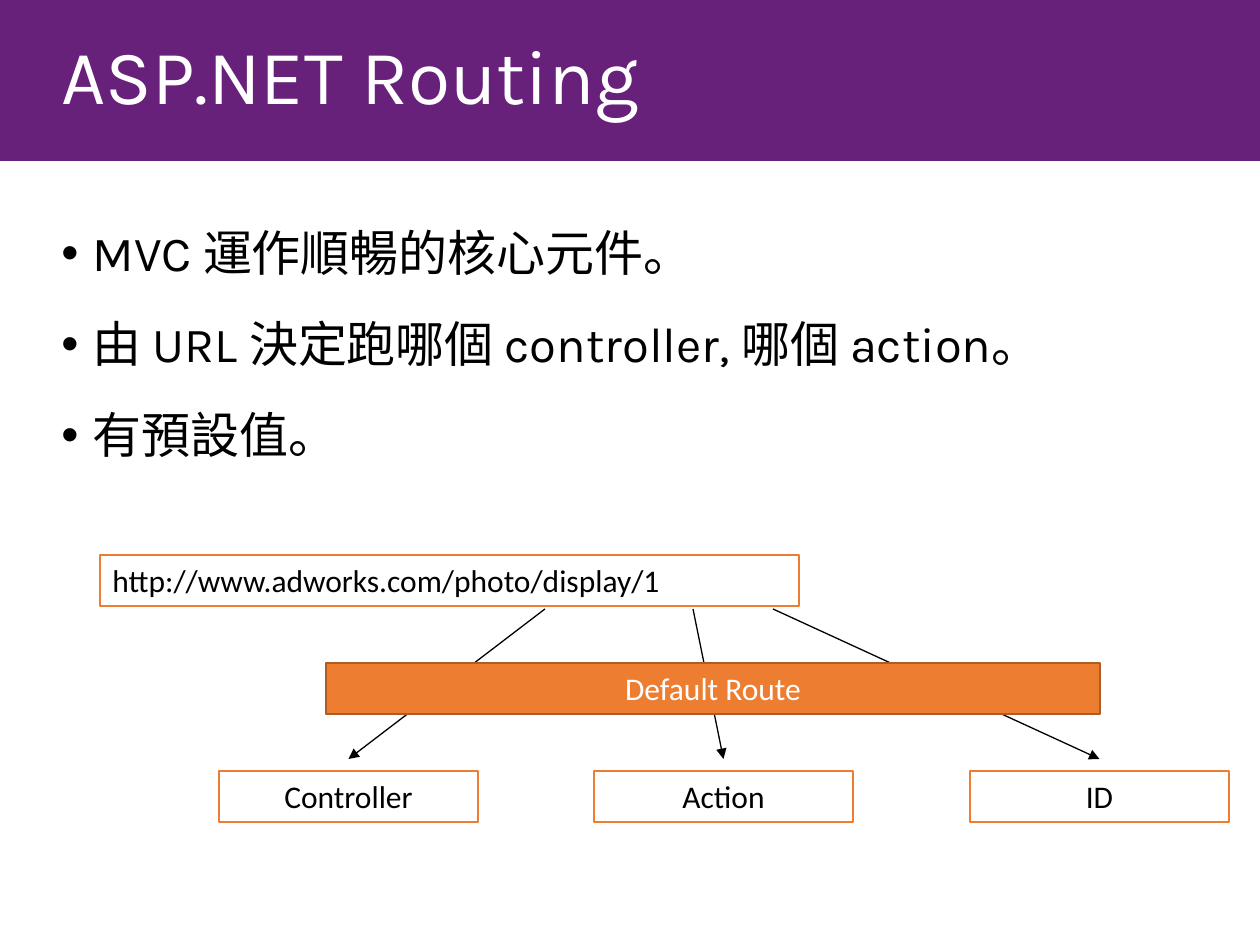
from dataclasses import dataclass

from lxml import etree
from pptx import Presentation
from pptx.dml.color import RGBColor
from pptx.enum.shapes import MSO_CONNECTOR, MSO_SHAPE
from pptx.enum.text import MSO_ANCHOR, PP_ALIGN
from pptx.oxml.ns import qn
from pptx.util import Emu, Pt

RECT = MSO_SHAPE.RECTANGLE
STRAIGHT = MSO_CONNECTOR.STRAIGHT
LEFT, CENTER = PP_ALIGN.LEFT, PP_ALIGN.CENTER
TOP, MIDDLE = MSO_ANCHOR.TOP, MSO_ANCHOR.MIDDLE

PURPLE = RGBColor(0x67, 0x21, 0x7A)
ORANGE = RGBColor(0xED, 0x7D, 0x31)
DARK_ORANGE = RGBColor(0xAF, 0x5C, 0x24)
WHITE = RGBColor(0xFF, 0xFF, 0xFF)
BLACK = RGBColor(0x00, 0x00, 0x00)

PX_PER_INCH = 126
BOX_H = 51
PART_TOP, PART_W, PART_LEFT, PART_PITCH = 771, 259, 219, 375.5
ARROW_END_Y = 759
BULLETS = (
    "MVC 運作順暢的核心元件。",
    "由 URL 決定跑哪個 controller, 哪個 action。",
    "有預設值。",
)


@dataclass
class Box:
    text: str
    left: int
    top: int
    width: int
    fill: RGBColor = WHITE
    line: RGBColor = ORANGE
    color: RGBColor = BLACK
    align: PP_ALIGN = CENTER


@dataclass
class RoutePart:
    name: str
    url_x: int


URL = Box("http://www.adworks.com/photo/display/1", 100, 555, 699, align=LEFT)
ROUTE = Box("Default Route", 326, 663, 774, ORANGE, DARK_ORANGE, WHITE)
PARTS = (RoutePart("Controller", 545), RoutePart("Action", 693), RoutePart("ID", 773))


def px(n: float) -> Emu:
    return Emu(round(n * 914400 / PX_PER_INCH))


def style_runs(p, font: str, size: int, color: RGBColor) -> None:
    for r in p.runs:
        r.font.name = font
        r.font.size = Pt(size)
        r.font.color.rgb = color


def add_rect(slide, left: int, top: int, width: int, height: int, fill: RGBColor):
    sp = slide.shapes.add_shape(RECT, px(left), px(top), px(width), px(height))
    sp.shadow.inherit = False
    sp.fill.solid()
    sp.fill.fore_color.rgb = fill
    return sp


def add_box(slide, box: Box) -> None:
    sp = add_rect(slide, box.left, box.top, box.width, BOX_H, box.fill)
    sp.line.color.rgb = box.line
    sp.line.width = Pt(1)
    tf = sp.text_frame
    tf.word_wrap = True
    tf.vertical_anchor = TOP
    p = tf.paragraphs[0]
    p.text = box.text
    p.alignment = box.align
    style_runs(p, "Calibri", 18, box.color)


def add_text(slide, left: int, top: int, width: int, height: int, text: str, anchor):
    tf = slide.shapes.add_textbox(px(left), px(top), px(width), px(height)).text_frame
    tf.word_wrap = True
    tf.vertical_anchor = anchor
    tf.text = text
    return tf


def add_bullet(p) -> None:
    pPr = p._p.get_or_add_pPr()
    pPr.set("marL", str(Pt(18)))
    pPr.set("indent", str(-Pt(18)))
    etree.SubElement(pPr, qn("a:buFont"), typeface="Arial")
    etree.SubElement(pPr, qn("a:buChar"), char="•")


def add_arrow(slide, x1: float, y1: float, x2: float, y2: float) -> None:
    line = slide.shapes.add_connector(STRAIGHT, px(x1), px(y1), px(x2), px(y2))
    line.line.color.rgb = BLACK
    line.line.width = Pt(0.75)
    etree.SubElement(line.line._get_or_add_ln(), qn("a:tailEnd"), type="triangle")
    etree.SubElement(line._element.spPr, qn("a:effectLst"))


def add_heading(slide) -> None:
    band = add_rect(slide, 0, 0, 1260, 161, PURPLE)
    band.line.fill.background()
    p = add_text(slide, 49, 16, 1160, 127, "ASP.NET Routing", MIDDLE).paragraphs[0]
    p.line_spacing = 0.9
    style_runs(p, "Karla", 44, WHITE)


def add_body(slide) -> None:
    tf = add_text(slide, 49, 202, 1160, 650, "\n".join(BULLETS), TOP)
    for p in tf.paragraphs:
        p.line_spacing = 1.25
        p.space_before = Pt(10)
        add_bullet(p)
        style_runs(p, "Karla", 28, BLACK)


def add_routing_diagram(slide) -> None:
    add_box(slide, URL)
    for i, part in enumerate(PARTS):
        left = round(PART_LEFT + i * PART_PITCH)
        add_box(slide, Box(part.name, left, PART_TOP, PART_W))
        add_arrow(slide, part.url_x, 609, left + PART_W / 2, ARROW_END_Y)
    add_box(slide, ROUTE)


def main() -> None:
    prs = Presentation()
    prs.slide_width, prs.slide_height = px(1260), px(945)
    slide = prs.slides.add_slide(prs.slide_layouts[6])
    add_heading(slide)
    add_body(slide)
    add_routing_diagram(slide)
    prs.save("out.pptx")


if __name__ == "__main__":
    main()
